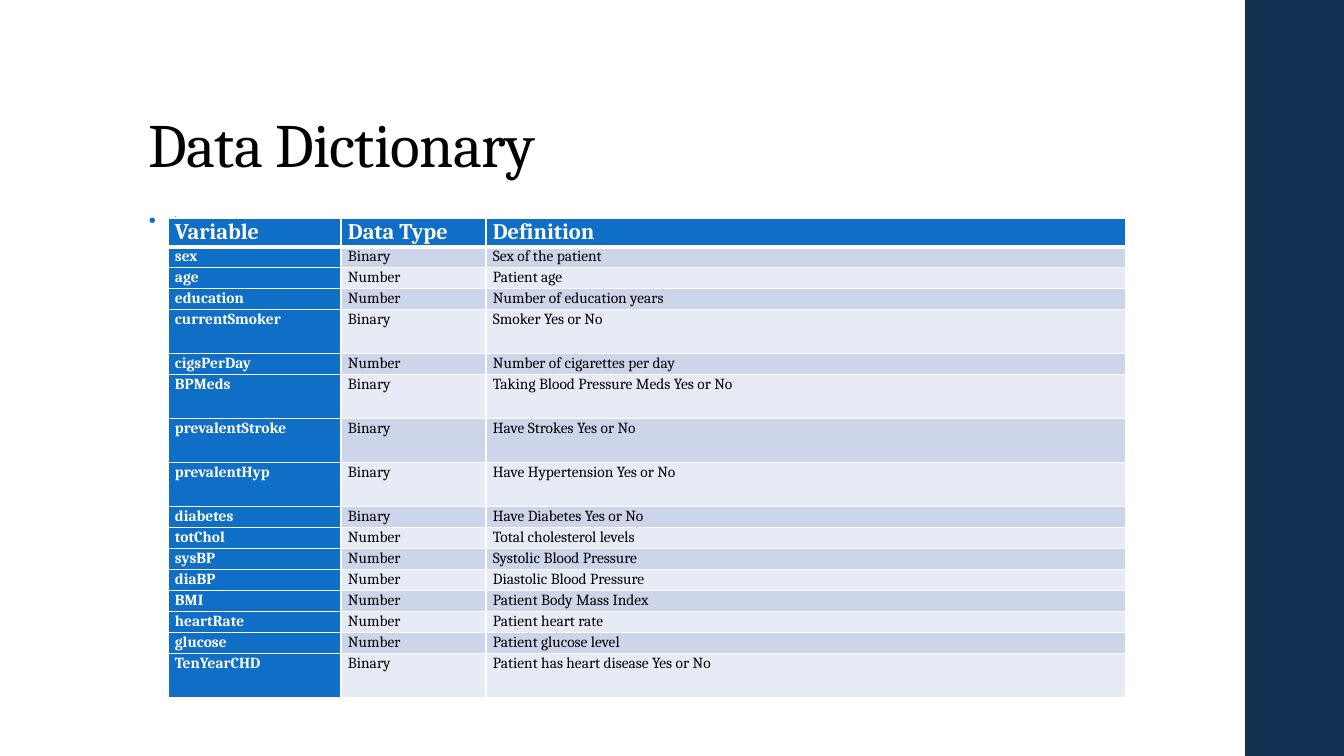
"""Build the Data Dictionary slide with its table of study variables."""
from dataclasses import dataclass

from lxml import etree
from pptx import Presentation
from pptx.dml.color import RGBColor
from pptx.enum.shapes import MSO_SHAPE
from pptx.enum.text import MSO_ANCHOR
from pptx.oxml.ns import qn
from pptx.util import Pt

PIXEL = 9071
RECTANGLE = MSO_SHAPE.RECTANGLE
TOP, BOTTOM = MSO_ANCHOR.TOP, MSO_ANCHOR.BOTTOM


@dataclass(frozen=True)
class Theme:
    font: str = "Cambria"
    navy: str = "113052"
    blue: str = "0F6FC6"
    bands: tuple = ("CCD5EA", "E7EBF5")
    white: str = "FFFFFF"
    black: str = "000000"
    title_size: int = 44
    body_size: int = 18
    header_size: int = 16
    cell_size: int = 11


theme = Theme()


def add_run(paragraph, text, size, color, bold=False, spacing=0):
    run = paragraph.add_run()
    run.text = text
    run.font.name = theme.font
    run.font.size = Pt(size)
    run.font.bold = bold
    run.font.color.rgb = RGBColor.from_string(color)
    if spacing:
        run.font._element.set("spc", str(spacing))


def add_text_box(left, top, width, height, anchor, line_spacing):
    box = slide.shapes.add_textbox(*(n * PIXEL for n in (left, top, width, height)))
    box.text_frame.word_wrap = True
    box.text_frame.vertical_anchor = anchor
    paragraph = box.text_frame.paragraphs[0]
    paragraph.line_spacing = line_spacing
    return paragraph


presentation = Presentation()
presentation.slide_width = 1344 * PIXEL
presentation.slide_height = 756 * PIXEL
slide = presentation.slides.add_slide(presentation.slide_layouts[6])

side_band = slide.shapes.add_shape(RECTANGLE, 1245 * PIXEL, 0, 99 * PIXEL, 756 * PIXEL)
side_band.shadow.inherit = False
side_band.fill.solid()
side_band.fill.fore_color.rgb = RGBColor.from_string(theme.navy)
side_band.line.fill.background()

title = add_text_box(139, 40, 1068, 146, BOTTOM, 0.9)
add_run(title, "Data Dictionary", theme.title_size, theme.black, spacing=-50)

bullet = add_text_box(139, 202, 948, 480, TOP, 0.95)
bullet.space_before, bullet.space_after = Pt(14), Pt(2)
add_run(bullet, "+", theme.body_size, theme.black, spacing=10)
properties = bullet._p.get_or_add_pPr()
properties.set("marL", str(20 * PIXEL))
properties.set("indent", str(-20 * PIXEL))
bullet_color = etree.SubElement(properties, qn("a:buClr"))
etree.SubElement(bullet_color, qn("a:srgbClr"), val=theme.blue)
etree.SubElement(properties, qn("a:buSzPct"), val="80000")
etree.SubElement(properties, qn("a:buFont"), typeface="Arial")
etree.SubElement(properties, qn("a:buChar"), char="•")

HEADER_HEIGHT, ROW_HEIGHT, TALL_HEIGHT = 27, 21, 44
COLUMN_WIDTHS = (173, 145, 640)
TALL_VARIABLES = {"currentSmoker", "BPMeds", "prevalentStroke", "prevalentHyp", "TenYearCHD"}
ROWS = (
    ("Variable", "Data Type", "Definition"),
    ("sex", "Binary", "Sex of the patient"),
    ("age", "Number", "Patient age"),
    ("education", "Number", "Number of education years"),
    ("currentSmoker", "Binary", "Smoker Yes or No"),
    ("cigsPerDay", "Number", "Number of cigarettes per day"),
    ("BPMeds", "Binary", "Taking Blood Pressure Meds Yes or No"),
    ("prevalentStroke", "Binary", "Have Strokes Yes or No"),
    ("prevalentHyp", "Binary", "Have Hypertension Yes or No"),
    ("diabetes", "Binary", "Have Diabetes Yes or No"),
    ("totChol", "Number", "Total cholesterol levels"),
    ("sysBP", "Number", "Systolic Blood Pressure"),
    ("diaBP", "Number", "Diastolic Blood Pressure"),
    ("BMI", "Number", "Patient Body Mass Index"),
    ("heartRate", "Number", "Patient heart rate"),
    ("glucose", "Number", "Patient glucose level"),
    ("TenYearCHD", "Binary", "Patient has heart disease Yes or No"),
)
heights = [HEADER_HEIGHT] + [
    TALL_HEIGHT if row[0] in TALL_VARIABLES else ROW_HEIGHT for row in ROWS[1:]
]
table = slide.shapes.add_table(
    len(ROWS), len(COLUMN_WIDTHS), 168 * PIXEL, 218 * PIXEL,
    sum(COLUMN_WIDTHS) * PIXEL, sum(heights) * PIXEL,
).table
table.horz_banding = False
for column, width in zip(table.columns, COLUMN_WIDTHS):
    column.width = width * PIXEL

for row_index, (texts, height) in enumerate(zip(ROWS, heights)):
    table.rows[row_index].height = height * PIXEL
    is_header = row_index == 0
    for column_index, text in enumerate(texts):
        cell = table.cell(row_index, column_index)
        cell.margin_left = cell.margin_right = 7 * PIXEL
        cell.margin_top = cell.margin_bottom = 0
        emphasized = is_header or column_index == 0
        fill = theme.blue if emphasized else theme.bands[(row_index - 1) % 2]
        cell.fill.solid()
        cell.fill.fore_color.rgb = RGBColor.from_string(fill)
        paragraph = cell.text_frame.paragraphs[0]
        paragraph.line_spacing = 1.07
        size = theme.header_size if is_header else theme.cell_size
        color = theme.white if emphasized else theme.black
        add_run(paragraph, text, size, color, bold=emphasized)
        cell_properties = cell._tc.get_or_add_tcPr()
        for position, side in enumerate(("lnL", "lnR", "lnT", "lnB")):
            heavy = (is_header and side == "lnB") or (row_index == 1 and side == "lnT")
            border = etree.Element(qn(f"a:{side}"), w=str(Pt(3 if heavy else 1)))
            border_fill = etree.SubElement(border, qn("a:solidFill"))
            etree.SubElement(border_fill, qn("a:srgbClr"), val=theme.white)
            cell_properties.insert(position, border)

presentation.save("out.pptx")
